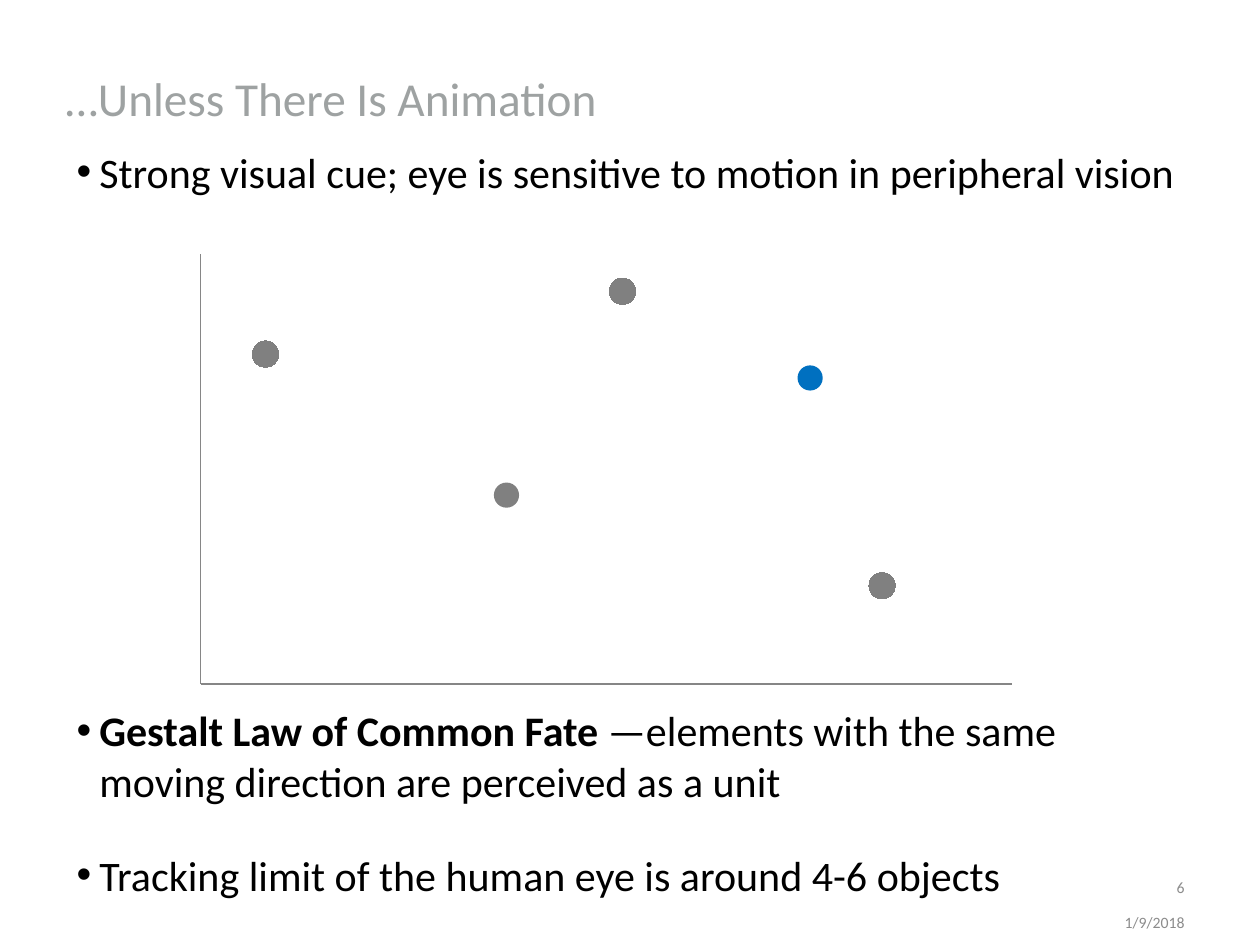
from lxml import etree
from pptx import Presentation
from pptx.chart.data import XyChartData
from pptx.dml.color import RGBColor
from pptx.enum.chart import XL_CHART_TYPE, XL_MARKER_STYLE, XL_TICK_LABEL_POSITION, XL_TICK_MARK
from pptx.enum.shapes import MSO_SHAPE
from pptx.enum.text import MSO_ANCHOR, PP_ALIGN
from pptx.oxml import parse_xml
from pptx.oxml.ns import nsdecls, qn
from pptx.util import Inches, Pt

SCATTER = XL_CHART_TYPE.XY_SCATTER
CIRCLE = XL_MARKER_STYLE.CIRCLE
NO_LABELS = XL_TICK_LABEL_POSITION.NONE
NO_TICKS = XL_TICK_MARK.NONE
OVAL = MSO_SHAPE.OVAL
TOP, MIDDLE = MSO_ANCHOR.TOP, MSO_ANCHOR.MIDDLE
LEFT, RIGHT = PP_ALIGN.LEFT, PP_ALIGN.RIGHT

FONT = "Calibri"
COLORS = {"title": "9EA2A2", "text": "000000", "footer": "8C8C8C",
          "axis": "868686", "dot": "808080", "accent": "0070C0"}


def rgb(name):
    return RGBColor.from_string(COLORS[name])


def add_text(box, paragraphs, size, color, anchor=MIDDLE, align=LEFT):
    """Add a text box; each paragraph is a list of (text, bold) runs."""
    tf = s.shapes.add_textbox(*map(Inches, box)).text_frame
    tf.word_wrap = True
    tf.vertical_anchor = anchor
    for i, runs in enumerate(paragraphs):
        p = tf.add_paragraph() if i else tf.paragraphs[0]
        p.alignment = align
        for text, bold in runs:
            r = p.add_run()
            r.text = text
            r.font.name, r.font.size, r.font.bold = FONT, Pt(size), bold
            r.font.color.rgb = rgb(color)
    return tf


prs = Presentation()
prs.slide_width, prs.slide_height = Inches(10), Inches(7.5)
s = prs.slides.add_slide(prs.slide_layouts[6])

# Bulleted text, spaced so the chart fits after the first point
bullets = [
    [("Strong visual cue; eye is sensitive to motion in peripheral vision", False)],
    [("Gestalt Law of Common Fate ", True),
     ("—elements with the same moving direction are perceived as a unit", False)],
    [("Tracking limit of the human eye is around 4-6 objects", False)],
]
tf = add_text((0.5, 1.11, 9, 6.3), bullets, 24, "text", TOP)
for p, space in zip(tf.paragraphs, (0, 286, 20.5)):
    pPr = p._p.get_or_add_pPr()
    pPr.set("marL", str(Inches(0.19)))
    pPr.set("indent", str(Inches(-0.18)))
    etree.SubElement(pPr, qn("a:buFont")).set("typeface", "Arial")
    etree.SubElement(pPr, qn("a:buChar")).set("char", "•")
    p.space_before, p.space_after = Pt(space), Pt(4.5)

# Scatter chart
data = XyChartData()
series = data.add_series("Series 1")
for x, y in ((0.7, 84), (1.8, 100), (2.6, 25)):
    series.add_data_point(x, y)
chart = s.shapes.add_chart(SCATTER, *map(Inches, (0.17, 1.67, 8.08, 5.17)), data).chart
chart.has_legend = chart.has_title = False
chart.font.name, chart.font.size = FONT, Pt(18)
chart.font.color.rgb = rgb("text")
plot = chart.plots[0]
plot.vary_by_categories = False

for axis, low, high in ((chart.category_axis, 0.5, 3), (chart.value_axis, 0, 109.5)):
    axis.minimum_scale, axis.maximum_scale = low, high
    axis.has_major_gridlines = axis.has_minor_gridlines = False
    axis.major_tick_mark = axis.minor_tick_mark = NO_TICKS
    axis.tick_label_position = NO_LABELS
    axis.format.line.color.rgb = rgb("axis")
    axis.format.line.width = Pt(0.75)

dots = plot.series[0]
dots.smooth = False
dots.format.line.fill.background()
dots.marker.style, dots.marker.size = CIRCLE, 15
dots.marker.format.fill.solid()
dots.marker.format.fill.fore_color.rgb = rgb("dot")
dots.marker.format.line.color.rgb = rgb("dot")

# Fixed inner plot area
area = chart._chartSpace.chart.plotArea
for old in area.findall(qn("c:layout")):
    area.remove(old)
shares = "".join(f'<c:{tag} val="{val}"/>' for tag, val in (
    ("layoutTarget", "inner"), ("xMode", "edge"), ("yMode", "edge"),
    ("x", 0.176), ("y", 0.067), ("w", 0.797), ("h", 0.66)))
area.insert(0, parse_xml(
    f'<c:layout {nsdecls("c")}><c:manualLayout>{shares}</c:manualLayout></c:layout>'))

# Title
tf = add_text((0.42, 0.25, 7.58, 1), [[("…Unless There Is Animation", False)]], 27, "title")
tf.margin_bottom = 0

# Date and slide number
for box, text in (((8.42, 7.23, 1.08, 0.18), "1/9/2018"),
                  ((8.92, 6.93, 0.58, 0.22), "6")):
    add_text(box, [[(text, False)]], 9, "footer", align=RIGHT)

# Moving dots
for x, y, color in ((3.92, 3.83, "dot"), (6.33, 2.9, "accent")):
    sp = s.shapes.add_shape(OVAL, *map(Inches, (x, y, 0.2, 0.2)))
    sp.shadow.inherit = False
    sp.fill.solid()
    sp.fill.fore_color.rgb = rgb(color)
    sp.line.fill.background()

prs.save("out.pptx")
